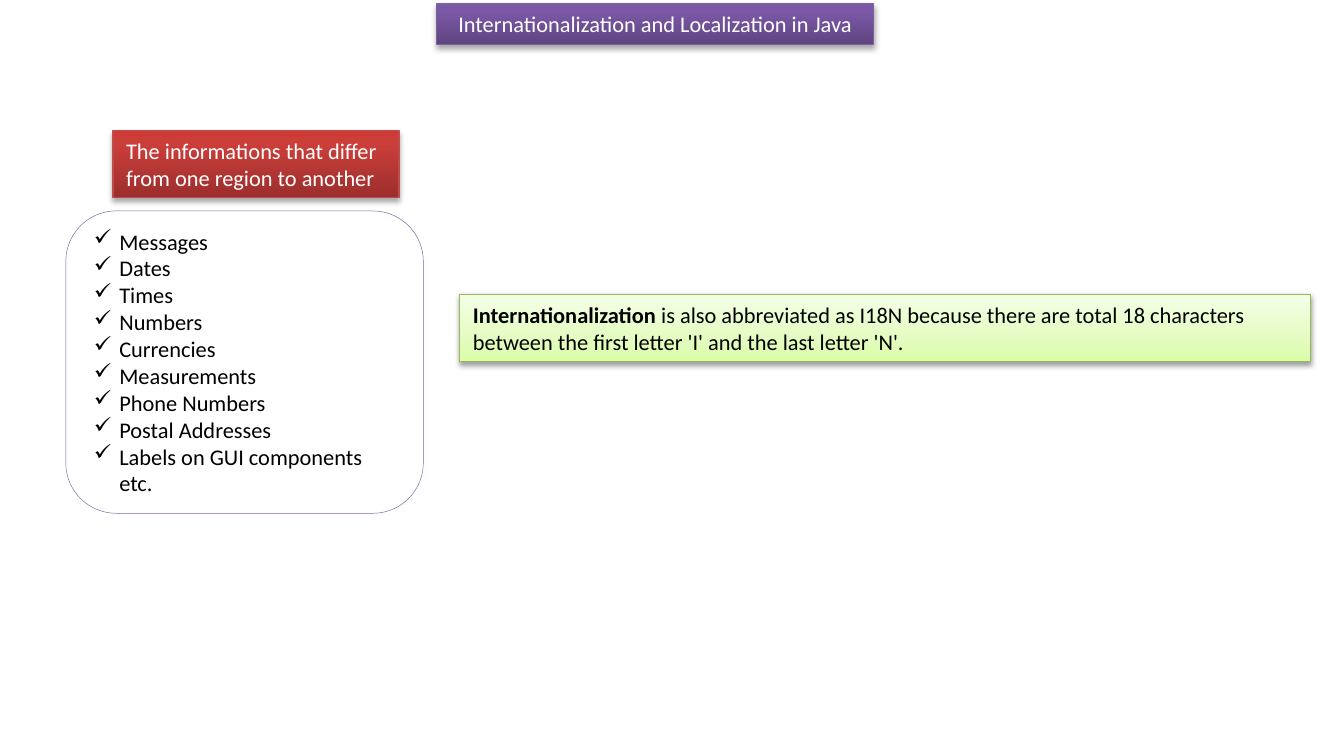
"""Build a slide on internationalization and localization in Java."""

from pptx import Presentation
from pptx.dml.color import RGBColor
from pptx.enum.shapes import MSO_SHAPE
from pptx.enum.text import MSO_ANCHOR, MSO_AUTO_SIZE, PP_ALIGN
from pptx.oxml import parse_xml
from pptx.oxml.ns import nsdecls, qn
from pptx.util import Inches, Pt

COLORS = {
    "white": "FFFFFF",
    "black": "000000",
    "list_line": "8064A2",
    "red_line": "BF4C48",
    "green_line": "98B955",
    "purple_line": "7D60A0",
}
GRADIENTS = {
    "red": [(0, "9C2F2D"), (80, "CB3E3A"), (100, "CE3B37")],
    "green": [(0, "DAFDA7"), (35, "E4FCC2"), (100, "F5FFE7")],
    "purple": [(0, "5F4480"), (80, "7B58A6"), (100, "7C57A8")],
}
TOPICS = [
    "Messages", "Dates", "Times", "Numbers", "Currencies", "Measurements",
    "Phone Numbers", "Postal Addresses", "Labels on GUI components etc.",
]
HEADING = ["The informations that differ", "from one region to another"]
NOTE = [
    "Internationalization",
    " is also abbreviated as I18N because there are total 18 characters "
    "between the first letter 'I' and the last letter 'N'.",
]
TITLE = "Internationalization and Localization in Java"

deck = Presentation()
deck.slide_width, deck.slide_height = Inches(10), Inches(5.5)
column, row = deck.slide_width / 100, deck.slide_height / 55
page = deck.slides.add_slide(deck.slide_layouts[6])


def add_box(kind, place, line, weight):
    left, top, width, height = place
    box = page.shapes.add_shape(
        kind, int(left * column), int(top * row), int(width * column), int(height * row)
    )
    box.shadow.inherit = False
    box.line.color.rgb = RGBColor.from_string(COLORS[line])
    box.line.width = Pt(weight)
    box.text_frame.word_wrap = True
    return box


def style_text(box, color, alignment=PP_ALIGN.LEFT):
    for paragraph in box.text_frame.paragraphs:
        paragraph.alignment = alignment
        for span in paragraph.runs:
            span.font.name = "Calibri"
            span.font.size = Pt(12)
            span.font.color.rgb = RGBColor.from_string(COLORS[color])


topics = add_box(MSO_SHAPE.ROUNDED_RECTANGLE, (4.9, 15.7, 26.6, 22.5), "list_line", 0.25)
topics.fill.solid()
topics.fill.fore_color.rgb = RGBColor.from_string(COLORS["white"])
topics.text_frame.vertical_anchor = MSO_ANCHOR.MIDDLE
topics.text_frame.text = "\n".join(TOPICS)
for paragraph in topics.text_frame.paragraphs:
    properties = paragraph._p.get_or_add_pPr()
    properties.set("marL", str(Inches(0.19)))
    properties.set("indent", str(-Inches(0.19)))
    properties.append(parse_xml(f'<a:buChar {nsdecls("a")} char="✓"/>'))
style_text(topics, "black")

heading = add_box(MSO_SHAPE.RECTANGLE, (8.4, 9.7, 21.3, 5), "red_line", 0.75)
heading.text_frame.text = "\n".join(HEADING)
heading.text_frame.word_wrap = False
style_text(heading, "white")

note = add_box(MSO_SHAPE.RECTANGLE, (34.2, 21.9, 63.3, 5), "green_line", 0.75)
for text in NOTE:
    note.text_frame.paragraphs[0].add_run().text = text
note.text_frame.paragraphs[0].runs[0].font.bold = True
style_text(note, "black")

title = add_box(MSO_SHAPE.RECTANGLE, (32.5, 0.3, 32.5, 3), "purple_line", 0.75)
title.text_frame.text = TITLE
style_text(title, "white", PP_ALIGN.CENTER)

for box, gradient, distance, opacity in [
    (heading, "red", 1.8, 35), (note, "green", 1.6, 38), (title, "purple", 1.8, 35)
]:
    box.text_frame.auto_size = MSO_AUTO_SIZE.SHAPE_TO_FIT_TEXT
    box.text_frame.vertical_anchor = MSO_ANCHOR.TOP
    box.fill.gradient()
    box.fill.gradient_angle = 90
    shape_properties = box._element.spPr
    stops = shape_properties.find(qn("a:gradFill")).find(qn("a:gsLst"))
    for stop in list(stops):
        stops.remove(stop)
    for position, color in GRADIENTS[gradient]:
        stops.append(parse_xml(
            f'<a:gs {nsdecls("a")} pos="{position * 1000}"><a:srgbClr val="{color}"/></a:gs>'
        ))
    shape_properties.find(qn("a:effectLst")).append(parse_xml(
        f'<a:outerShdw {nsdecls("a")} blurRad="{Pt(3.1)}" dist="{Pt(distance)}" '
        f'dir="5400000" rotWithShape="0"><a:srgbClr val="{COLORS["black"]}">'
        f'<a:alpha val="{opacity * 1000}"/></a:srgbClr></a:outerShdw>'
    ))

deck.save("out.pptx")
